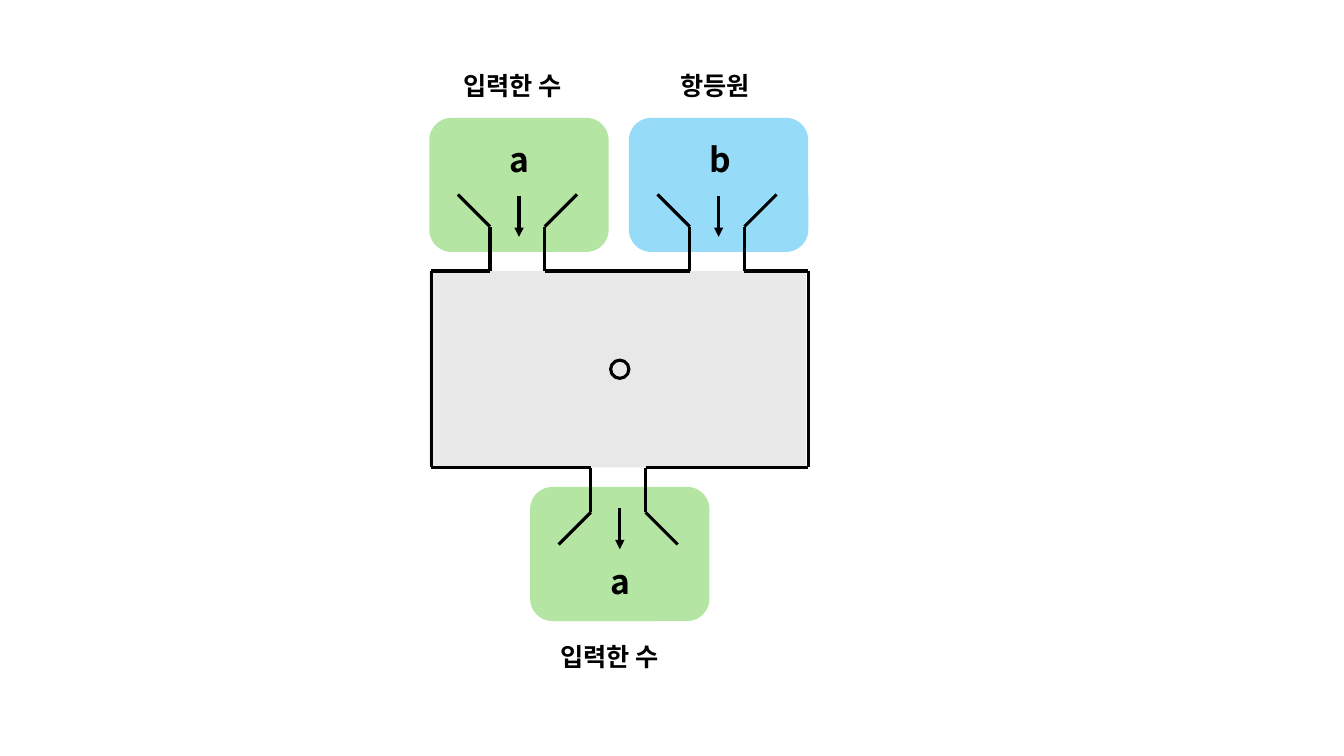
from collections import namedtuple
from dataclasses import dataclass

from lxml import etree
from pptx import Presentation
from pptx import util as u
from pptx.dml.color import RGBColor
from pptx.enum import shapes, text
from pptx.oxml.ns import qn

Box = namedtuple("Box", "left top width height")


@dataclass(frozen=True)
class Theme:
    """Colours, font and sizes of the slide."""
    ink: RGBColor = RGBColor(0, 0, 0)
    green: RGBColor = RGBColor(0xB4, 0xE5, 0xA2)
    blue: RGBColor = RGBColor(0x96, 0xDC, 0xF8)
    body: RGBColor = RGBColor(0xE8, 0xE8, 0xE8)
    font: str = "Noto Sans CJK KR"
    letter: u.Length = u.Pt(24)
    caption: u.Length = u.Pt(18)
    stroke: u.Length = u.Pt(2.25)


THEME = Theme()
PAD_WIDTH, PAD_HEIGHT = 4.52, 3.38
THROAT_HALF, FLARE, ARROW = 0.69, 0.81, 1.04


def add_panel(diagram, box, kind, fill=None):
    """Draw a filled panel, or an outlined one when no fill is given."""
    panel = diagram.shapes.add_shape(kind, *map(u.Cm, box))
    panel.shadow.inherit = False
    if fill is None:
        panel.fill.background()
        panel.line.color.rgb = THEME.ink
        panel.line.width = THEME.stroke
    else:
        panel.fill.solid()
        panel.fill.fore_color.rgb = fill
        panel.line.fill.background()


def add_stroke(diagram, start, end, arrow=False):
    """Draw a straight line between two points, with an optional arrowhead."""
    stroke = diagram.shapes.add_connector(
        shapes.MSO_CONNECTOR.STRAIGHT, *map(u.Cm, (*start, *end)))
    stroke.line.color.rgb = THEME.ink
    stroke.line.width = THEME.stroke
    if arrow:
        etree.SubElement(stroke.line._get_or_add_ln(), qn("a:tailEnd"), type="triangle")
    etree.SubElement(stroke._element.spPr, qn("a:effectLst"))


def add_words(diagram, box, words, size):
    """Write one bold, unwrapped line of words."""
    frame = diagram.shapes.add_textbox(*map(u.Cm, box)).text_frame
    frame.word_wrap = False
    frame.auto_size = text.MSO_AUTO_SIZE.SHAPE_TO_FIT_TEXT
    run = frame.paragraphs[0].add_run()
    run.text = words
    run.font.size, run.font.bold, run.font.name = size, True, THEME.font
    run.font.color.rgb = THEME.ink
    etree.SubElement(run.font._element, qn("a:ea"), typeface=THEME.font)


def throat_center(pad):
    """Return the horizontal middle of the funnel throat on a pad."""
    return pad.left + pad.width / 2 - 0.04


def draw_funnel(diagram, pad, wall, outward):
    """Draw the funnel from the machine wall, opening up (-1) or down (1)."""
    neck = wall + outward * 1.12
    for side in (-1, 1):
        throat = throat_center(pad) + side * THROAT_HALF
        add_stroke(diagram, (throat, wall), (throat, neck))
        add_stroke(diagram, (throat, neck),
                   (throat + side * FLARE, neck + outward * FLARE))


def draw_port(diagram, pad, fill, letter, letter_width, caption, caption_width,
              caption_indent, is_input=True):
    """Draw a coloured pad with its letter, arrow, funnel and caption."""
    letter_top, arrow_top, caption_top = (
        (0.41, 1.96, -1.32) if is_input else (1.75, 0.53, 3.76))
    wall = pad.top + (3.86 if is_input else -0.48)
    center = pad.left + pad.width / 2
    add_panel(diagram, pad, shapes.MSO_SHAPE.ROUNDED_RECTANGLE, fill)
    draw_funnel(diagram, pad, wall, -1 if is_input else 1)
    add_stroke(diagram, (center, pad.top + arrow_top),
               (center, pad.top + arrow_top + ARROW), arrow=True)
    add_words(diagram, Box(pad.left + 1.78, pad.top + letter_top, letter_width, 1.27),
              letter, THEME.letter)
    add_words(diagram, Box(pad.left + caption_indent, pad.top + caption_top,
                           caption_width, 1.02), caption, THEME.caption)


def draw_edge(diagram, machine, y, pads):
    """Draw a horizontal machine wall, left open at each throat."""
    stops = [machine.left]
    for pad in pads:
        center = throat_center(pad)
        stops += [center - THROAT_HALF, center + THROAT_HALF]
    stops.append(machine.left + machine.width)
    for start, end in zip(stops[::2], stops[1::2]):
        add_stroke(diagram, (start, y), (end, y))


def draw_machine(diagram, machine, inputs, outputs):
    """Draw the machine body, its walls and the operator circle."""
    add_panel(diagram, machine._replace(left=machine.left - 0.05),
              shapes.MSO_SHAPE.RECTANGLE, THEME.body)
    bottom = machine.top + machine.height
    for x in (machine.left, machine.left + machine.width):
        add_stroke(diagram, (x, machine.top), (x, bottom))
    draw_edge(diagram, machine, machine.top, inputs)
    draw_edge(diagram, machine, bottom, outputs)
    size = 0.46
    add_panel(diagram, Box(machine.left + (machine.width - size) / 2,
                           machine.top + (machine.height - size) / 2, size, size),
              shapes.MSO_SHAPE.OVAL)


def main():
    """Build the slide and save it."""
    deck = Presentation()
    deck.slide_width, deck.slide_height = u.Cm(33.87), u.Cm(19.05)
    slide = deck.slides.add_slide(deck.slide_layouts[6])
    diagram = slide.shapes.add_group_shape()
    number = Box(10.82, 2.97, PAD_WIDTH, PAD_HEIGHT)
    identity = number._replace(left=15.85)
    result = number._replace(left=13.36, top=12.27)
    draw_machine(diagram, Box(10.87, 6.83, 9.5, 4.95), [number, identity], [result])
    draw_port(diagram, number, THEME.green, "a", 0.97, "입력한 수", 3.3, 0.61)
    draw_port(diagram, identity, THEME.blue, "b", 1.04, "항등원", 2.44, 1.04)
    draw_port(diagram, result, THEME.green, "a", 0.97, "입력한 수", 3.3, 0.51,
              is_input=False)
    deck.save("out.pptx")


if __name__ == "__main__":
    main()
